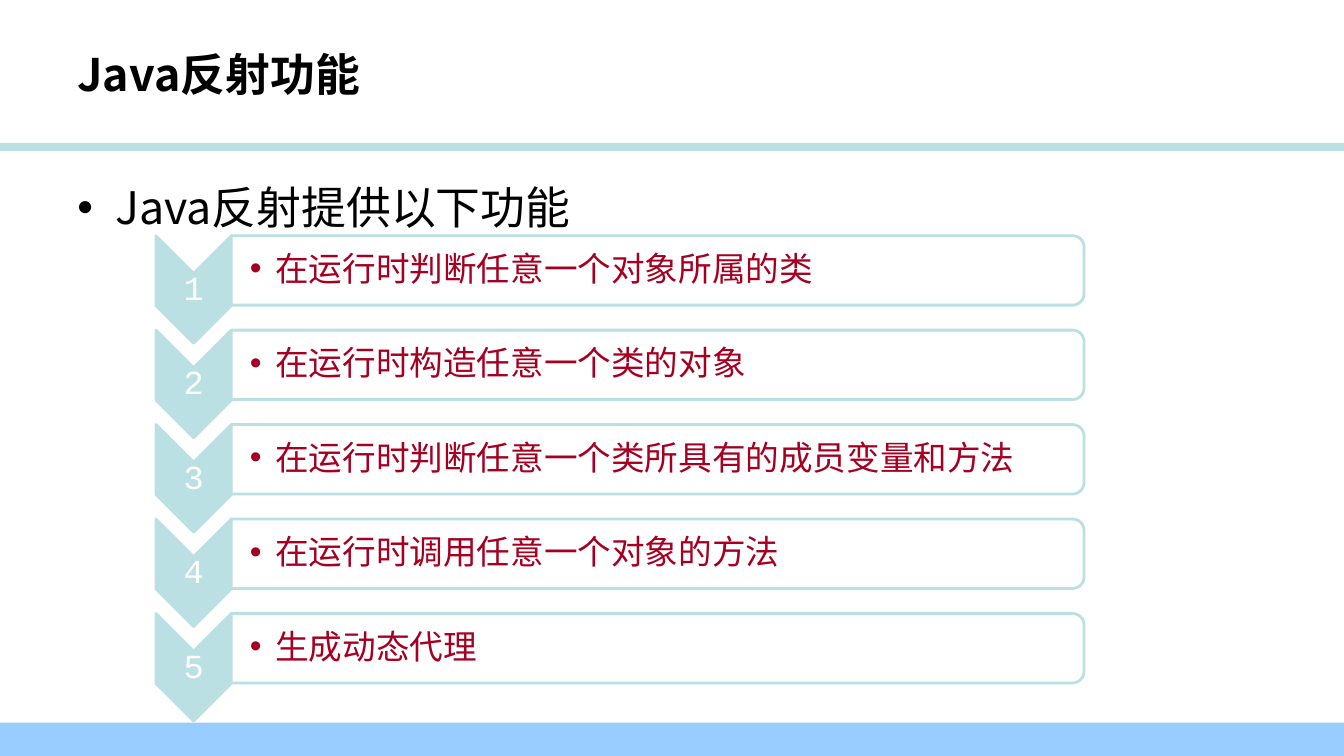
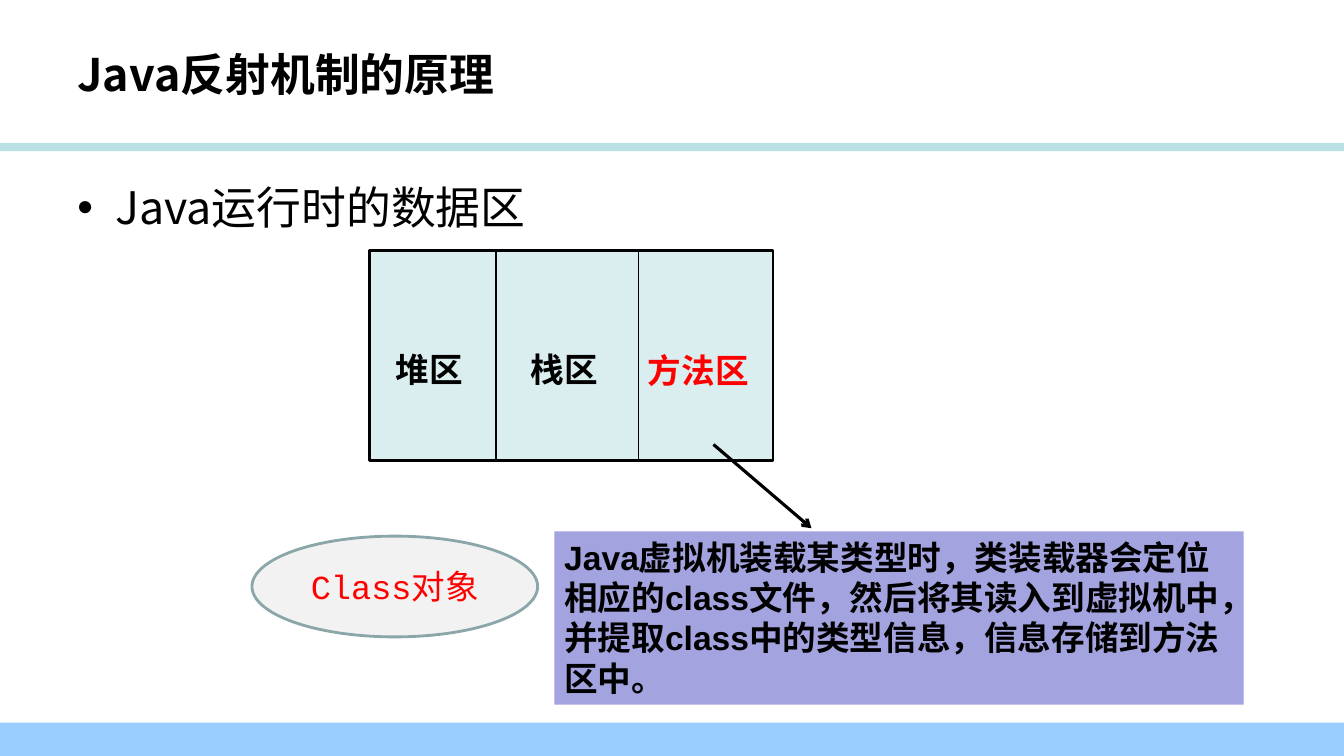
from collections import namedtuple

from lxml.etree import SubElement
from pptx import Presentation
from pptx.dml.color import RGBColor
from pptx.enum.shapes import MSO_CONNECTOR as Connector, MSO_SHAPE as Shape
from pptx.enum.text import MSO_ANCHOR as Anchor, PP_ALIGN as Align
from pptx.oxml.ns import qn
from pptx.util import Cm, Pt

BLACK = RGBColor(0x00, 0x00, 0x00)
WHITE = RGBColor(0xFF, 0xFF, 0xFF)
RED = RGBColor(0xFF, 0x00, 0x00)
CRIMSON = RGBColor(0xA5, 0x00, 0x21)
TEAL = RGBColor(0xBB, 0xE0, 0xE3)
PALE_TEAL = RGBColor(0xDA, 0xED, 0xEF)
GREY_TEAL = RGBColor(0x8A, 0xA6, 0xA8)
SKY = RGBColor(0x99, 0xCC, 0xFF)
LILAC = RGBColor(0xA3, 0xA3, 0xE0)
PALE_GREY = RGBColor(0xF2, 0xF2, 0xF2)

CJK, SANS, MONO = "Noto Sans CJK SC", "Arial", "Courier New"
WIDTH, HEIGHT = 33.87, 19.05

Box = namedtuple("Box", "left top width height")
Style = namedtuple("Style", "font size color bold", defaults=(False,))

TITLE = Style(CJK, 32, BLACK, True)
LEAD = Style(CJK, 32, BLACK)
NUMBER = Style(MONO, 24, WHITE)
FEATURE = Style(MONO, 24, CRIMSON)
OBJECT = Style(MONO, 24, RED)
STRONG = Style(SANS, 24, BLACK, True)
STRONG_RED = Style(SANS, 24, RED, True)


def lengths(box):
    """Turn a box in centimetres into slide lengths."""
    return [Cm(value) for value in box]


def write(shape, text, style, align=Align.LEFT, anchor=Anchor.TOP,
          spacing=None, bullet=None, wrap=True, insets=(0.25, 0.13)):
    """Write one styled paragraph; bullet is its hanging indent in cm."""
    frame = shape.text_frame
    frame.word_wrap = wrap
    frame.vertical_anchor = anchor
    frame.margin_left, frame.margin_top = Cm(insets[0]), Cm(insets[1])
    frame.margin_right = Cm(min(insets[0], 0.25))
    frame.margin_bottom = Cm(insets[1])
    paragraph = frame.paragraphs[0]
    paragraph.alignment = align
    if spacing:
        paragraph.line_spacing = spacing
    if bullet:
        properties = paragraph._p.get_or_add_pPr()
        properties.set("marL", str(Cm(bullet)))
        properties.set("indent", str(-Cm(bullet)))
        SubElement(properties, qn("a:buFont"), typeface=SANS)
        SubElement(properties, qn("a:buChar"), char="•")
    run = paragraph.add_run()
    run.text = text
    font = run.font
    font.name, font.size, font.bold = style.font, Pt(style.size), style.bold
    font.color.rgb = style.color
    SubElement(run._r.get_or_add_rPr(), qn("a:ea"), typeface=CJK)


def add_text(slide, box, text, style, **options):
    """Add a text box with one paragraph."""
    write(slide.shapes.add_textbox(*lengths(box)), text, style, **options)


def add_shape(slide, kind, box, fill, line=None):
    """Add a flat preset shape with an optional 2 pt outline."""
    shape = slide.shapes.add_shape(kind, *lengths(box))
    shape.shadow.inherit = False
    shape.fill.solid()
    shape.fill.fore_color.rgb = fill
    if line is None:
        shape.line.fill.background()
    else:
        shape.line.color.rgb = line
        shape.line.width = Pt(2)
    return shape


def add_quarter_turned(slide, kind, box, fill, line):
    """Add a shape turned by 90 degrees so that it fills the box."""
    shift = (box.width - box.height) / 2
    unturned = Box(box.left + shift, box.top - shift, box.height, box.width)
    add_shape(slide, kind, unturned, fill, line).rotation = 90


def add_line(slide, start, end, weight, arrow=False):
    """Add a black straight line, with an arrowhead at its end on request."""
    line = slide.shapes.add_connector(
        Connector.STRAIGHT, *lengths(start + end))
    line.line.color.rgb = BLACK
    line.line.width = Pt(weight)
    if arrow:
        SubElement(line.line._get_or_add_ln(), qn("a:tailEnd"), type="arrow")
    SubElement(line._element.spPr, qn("a:effectLst"))


def add_base_slide(presentation, title, lead):
    """Add a slide with the shared bands, title and lead bullet."""
    slide = presentation.slides.add_slide(presentation.slide_layouts[6])
    add_shape(slide, Shape.RECTANGLE, Box(0, 3.6, WIDTH, 0.21), TEAL)
    add_shape(slide, Shape.RECTANGLE,
              Box(0, 18.21, WIDTH, HEIGHT - 18.21), SKY)
    add_text(slide, Box(1.7, 0.76, 27.1, 2.2), title, TITLE,
             anchor=Anchor.MIDDLE)
    add_text(slide, Box(1.7, 3.73, 30.48, 2.2), lead, LEAD,
             spacing=1.5, bullet=0.95)
    return slide


def add_feature_row(slide, box, number, text):
    """Draw a numbered chevron and the bar to its right."""
    chevron = Box(box.left, box.top, 1.9, box.height)
    bar = Box(box.left + 1.9, box.top, box.width - 1.9, 1.75)
    add_quarter_turned(slide, Shape.CHEVRON, chevron, TEAL, TEAL)
    add_text(slide, Box(box.left, box.top + 0.95, 1.9, 0.81), str(number),
             NUMBER, align=Align.CENTER, anchor=Anchor.MIDDLE, spacing=0.9,
             insets=(0.04, 0.04))
    add_quarter_turned(slide, Shape.ROUND_2_SAME_RECTANGLE, bar, WHITE, TEAL)
    add_text(slide, bar, text, FEATURE, anchor=Anchor.MIDDLE, spacing=0.9,
             bullet=0.64, insets=(0.47, 0.04))


def add_feature_list(slide, box, features):
    """Stack overlapping feature rows evenly down the box."""
    row_height = 2.71
    pitch = (box.height - row_height) / (len(features) - 1)
    for index, feature in enumerate(features):
        row = Box(box.left, box.top + index * pitch, box.width, row_height)
        add_feature_row(slide, row, index + 1, feature)


def add_data_areas(slide, box):
    """Draw the runtime memory block divided into three areas."""
    add_shape(slide, Shape.RECTANGLE, box, PALE_TEAL, BLACK)
    for offset in (3.18, 6.76):
        left = box.left + offset
        add_line(slide, (left, box.top), (left, box.top + box.height), 0.75)
    areas = [("堆区", 0.41, 2.34, 2.24, STRONG),
             ("栈区", 3.81, 2.34, 2.24, STRONG),
             ("方法区", 6.76, 2.37, 3.07, STRONG_RED)]
    for name, left, top, width, style in areas:
        label = Box(box.left + left, box.top + top, width, 1.3)
        add_text(slide, label, name, style, wrap=False)


def add_loading_note(slide, box):
    """Draw the class loading note and the arrow that leads to it."""
    note = add_shape(slide, Shape.RECTANGLE, box, LILAC)
    write(note, "Java虚拟机装载某类型时，类装载器会定位相应的class文件，"
          "然后将其读入到虚拟机中，并提取class中的类型信息，"
          "信息存储到方法区中。", STRONG)
    add_line(slide, (box.left + 4.01, box.top - 2.19),
             (box.left + 6.48, box.top - 0.08), 2.25, arrow=True)


def add_class_object(slide, box):
    """Draw the ellipse that stands for the Class object."""
    ellipse = add_shape(slide, Shape.OVAL, box, PALE_GREY, GREY_TEAL)
    write(ellipse, "Class对象", OBJECT, align=Align.CENTER,
          anchor=Anchor.MIDDLE)


def build_features_slide(presentation):
    """Build the slide that lists what reflection offers."""
    slide = add_base_slide(presentation, "Java反射功能",
                           "Java反射提供以下功能")
    add_feature_list(slide, Box(3.93, 5.94, 23.39, 12.23), [
        "在运行时判断任意一个对象所属的类",
        "在运行时构造任意一个类的对象",
        "在运行时判断任意一个类所具有的成员变量和方法",
        "在运行时调用任意一个对象的方法",
        "生成动态代理",
    ])


def build_principle_slide(presentation):
    """Build the slide that explains the runtime data areas."""
    slide = add_base_slide(presentation, "Java反射机制的原理",
                           "Java运行时的数据区")
    add_data_areas(slide, Box(9.32, 6.32, 10.16, 5.28))
    add_loading_note(slide, Box(13.97, 13.39, 17.37, 4.37))
    add_class_object(slide, Box(6.35, 13.51, 7.2, 2.54))


def main():
    """Build and save the presentation."""
    presentation = Presentation()
    presentation.slide_width, presentation.slide_height = Cm(WIDTH), Cm(HEIGHT)
    build_features_slide(presentation)
    build_principle_slide(presentation)
    presentation.save("out.pptx")


main()
